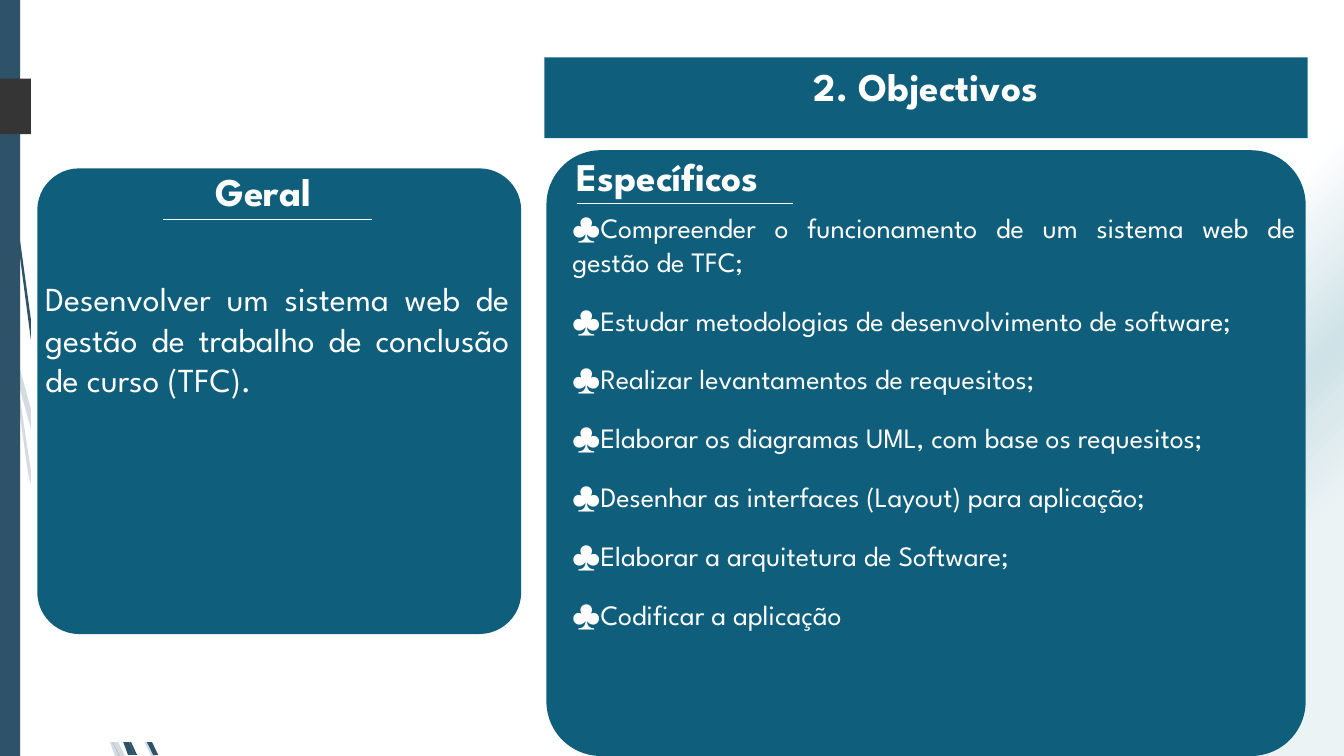
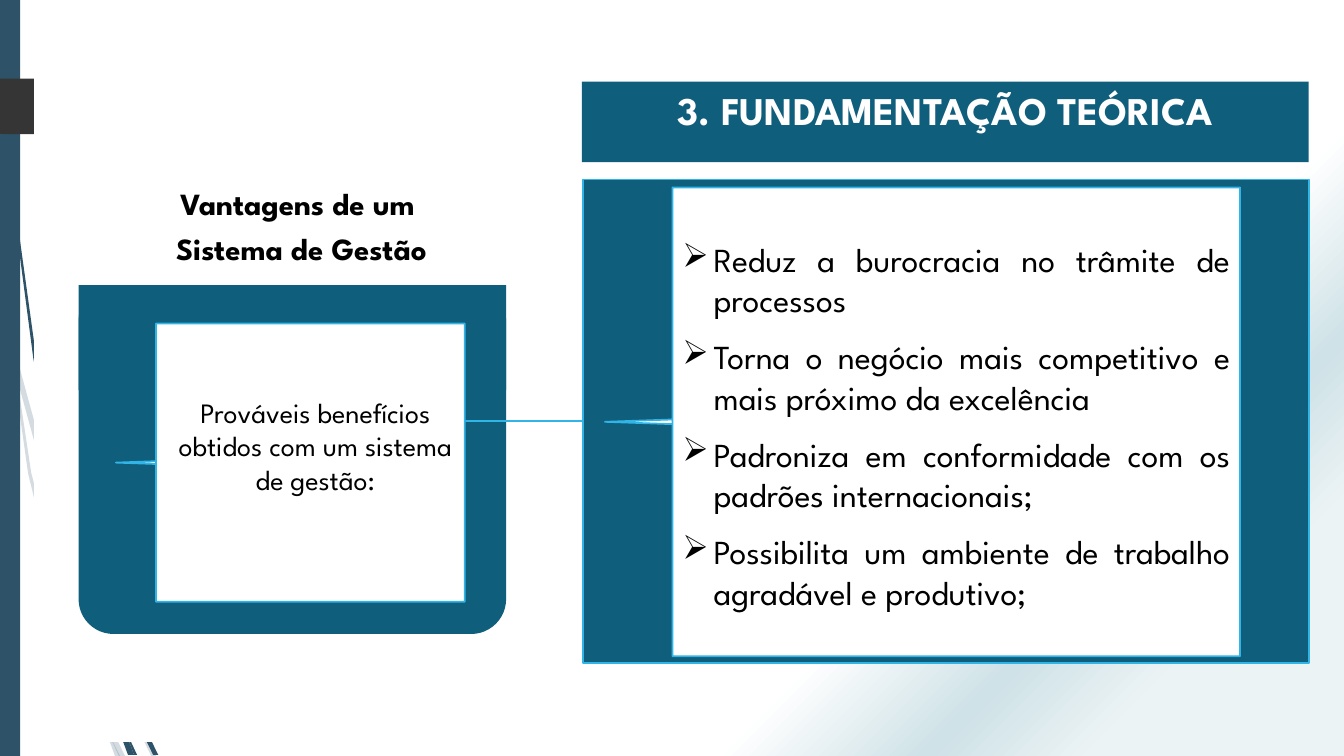
import pptx
import pptx.dml.color
import pptx.enum.shapes
import pptx.enum.text
import pptx.oxml
import pptx.oxml.ns
import pptx.util

PX = 9144  # EMU in one px; 100 px make an inch
FONT = "League Spartan"
COLORS = {
    "teal": "0F5E7C", "slate": "2E5369", "tab": "353535", "sky": "31B4E6",
    "white": "FFFFFF", "black": "000000", "mist": "ECF3F5", "haze": "CFE2E7",
}
BACKGROUND_STOPS = [(12, "mist"), (20, "haze"), (30, "white")]
PALE_STREAKS = [
    [(57, 522), (84, 599), (85, 586), (62, 520), (14, 345), (17, 376)],
    [(92, 607), (88, 596), (88, 610), (123, 694), (150, 750), (155, 750),
     (127, 692)],
    [(119, 750), (124, 750), (105, 711)],
    [(93, 683), (70, 619), (31, 469), (17, 376), (11, 350), (28, 470),
     (65, 621), (92, 693), (101, 714), (99, 707)],
    [(101, 714), (114, 750), (119, 750)],
    [(96, 692), (93, 683), (99, 707), (101, 714), (118, 750), (119, 750),
     (105, 711)],
]
DARK_STREAKS = [
    [(7, 110), (17, 233), (33, 355), (56, 477), (57, 481), (55, 457),
     (55, 453), (36, 355), (19, 232), (8, 109), (4, 0), (3, 0), (4, 48)],
    [(113, 649), (110, 641), (111, 656), (132, 708), (152, 749), (157, 749),
     (136, 706)],
    [(133, 749), (136, 749), (122, 719)],
    [(117, 722), (127, 749), (131, 749)],
    [(116, 706), (110, 691), (116, 717), (117, 722), (130, 749), (133, 749),
     (122, 719)],
]
TAB = [(0, 78), (146, 78), (148, 79), (173, 104), (173, 108), (148, 133),
       (146, 134), (0, 133)]
GOALS = [
    "Compreender o funcionamento de um sistema web de gestão de TFC; ",
    "Estudar metodologias de desenvolvimento de software;",
    "Realizar levantamentos de requesitos;",
    "Elaborar os diagramas UML, com base os requesitos;",
    "Desenhar as interfaces (Layout) para aplicação;",
    "Elaborar a arquitetura de Software;",
    "Codificar a aplicação",
]
BENEFITS = [
    "Reduz a burocracia no trâmite de processos",
    "Torna o negócio mais competitivo e mais próximo da excelência ",
    "Padroniza em conformidade com os padrões internacionais; ",
    "Possibilita um ambiente de trabalho agradável e produtivo; ",
]

KIND = pptx.enum.shapes.MSO_SHAPE
ALIGN = pptx.enum.text.PP_ALIGN
ANCHOR = pptx.enum.text.MSO_ANCHOR


def emu(*lengths):
    return [length * PX for length in lengths]


def rgb(name):
    return pptx.dml.color.RGBColor.from_string(COLORS[name])


def add_xml(parent, tag, **attributes):
    element = parent.makeelement(pptx.oxml.ns.qn(tag), attributes)
    parent.append(element)
    return element


def paint(shape, fill, line=None, alpha=None):
    shape.shadow.inherit = False
    shape.fill.solid()
    shape.fill.fore_color.rgb = rgb(fill)
    if alpha:
        color = shape.element.spPr.find(".//" + pptx.oxml.ns.qn("a:srgbClr"))
        add_xml(color, "a:alpha", val=str(alpha * 1000))
    if line:
        shape.line.color.rgb = rgb(line)
        shape.line.width = pptx.util.Pt(1.25)
    else:
        shape.line.fill.background()


def add_box(page, box, kind=KIND.RECTANGLE, fill="teal", line=None, adjust=()):
    shape = page.shapes.add_shape(kind, *emu(*box))
    for index, value in enumerate(adjust):
        shape.adjustments[index] = value
    paint(shape, fill, line)
    return shape


def add_outline(page, points, fill, alpha=None):
    builder = page.shapes.build_freeform(*points[0], scale=PX)
    builder.add_line_segments(points[1:], close=True)
    paint(builder.convert_to_shape(), fill, alpha=alpha)


def write(shape, paragraphs, size=20, color="white", bold=False,
          align=ALIGN.LEFT, anchor=ANCHOR.TOP, insets=(10, 5, 10, 5),
          after=0, spacing=None, margin=0, bullet=None):
    """Fill a shape with paragraphs; insets run left, top, right, bottom."""
    frame = shape.text_frame
    frame.word_wrap = True
    frame.vertical_anchor = anchor
    (frame.margin_left, frame.margin_top,
     frame.margin_right, frame.margin_bottom) = emu(*insets)
    for index, text in enumerate(paragraphs):
        para = frame.add_paragraph() if index else frame.paragraphs[0]
        para.alignment = align
        para.space_after = pptx.util.Pt(after)
        if spacing:
            para.line_spacing = spacing
        span = para.add_run()
        span.text = text
        span.font.name = FONT
        span.font.size = pptx.util.Pt(size)
        span.font.bold = bold
        span.font.color.rgb = rgb(color)
        properties = para._p.get_or_add_pPr()
        if margin:
            properties.set("marL", str(margin * PX))
        if bullet:
            properties.set("indent", str(-margin * PX))
            add_xml(properties, "a:buChar", char=bullet)


def add_text(page, box, paragraphs, **style):
    write(page.shapes.add_textbox(*emu(*box)), paragraphs, **style)


def add_heading(page, box, text, rule):
    """Bold heading with a thin rule given as (start x, end x, y)."""
    add_text(page, box, [text], size=28, bold=True, anchor=ANCHOR.MIDDLE,
             insets=(0, 0, 0, 0), spacing=0.85)
    start, end, y = rule
    line = page.shapes.add_connector(
        pptx.enum.shapes.MSO_CONNECTOR.STRAIGHT, *emu(start, y, end, y))
    line.line.color.rgb = rgb("white")
    line.line.width = pptx.util.Pt(1)
    add_xml(line.element.spPr, "a:effectLst")


def set_background(page):
    fill = page.background.fill
    fill.gradient()
    fill.gradient_angle = 135
    stops = page.element.find(".//" + pptx.oxml.ns.qn("a:gsLst"))
    for stop in list(stops):
        stops.remove(stop)
    for position, name in BACKGROUND_STOPS:
        stop = add_xml(stops, "a:gs", pos=str(position * 1000))
        add_xml(stop, "a:srgbClr", val=COLORS[name])


def add_page(deck):
    """Add a blank page with the backdrop, the streaks and the side spine."""
    page = deck.slides.add_slide(deck.slide_layouts[6])
    set_background(page)
    for streak in PALE_STREAKS:
        add_outline(page, streak, "slate", alpha=20)
    for streak in DARK_STREAKS:
        add_outline(page, streak, "slate")
    add_box(page, (0, 0, 20, 750), fill="slate")
    add_outline(page, TAB, "tab")
    return page


def add_panel(page, left, width):
    add_box(page, (left, 0, width, 735), fill="white", line="white")


def add_title(page, box, text):
    write(add_box(page, box), [text], size=28, bold=True, align=ALIGN.CENTER)


def add_general_goal(page, box):
    left, top, width, height = box
    add_box(page, box, KIND.ROUNDED_RECTANGLE, adjust=[0.09])
    add_heading(page, (left + 177, top + 3, 173, 46), "Geral",
                (left + 125, left + 332, top + 51))
    add_text(page, (left - 2, top + 104, width, 172),
             ["Desenvolver um sistema web de gestão de trabalho de "
              "conclusão de curso (TFC)."], size=24, align=ALIGN.JUSTIFY)


def add_specific_goals(page, box):
    left, top, width, height = box
    add_box(page, box, KIND.ROUNDED_RECTANGLE, adjust=[0.09])
    add_heading(page, (left + 30, top - 2, 395, 63), "Específicos",
                (left + 30, left + 245, top + 53))
    add_text(page, (left + 16, top + 55, width - 16, height - 55),
             ["♣" + goal for goal in GOALS], align=ALIGN.JUSTIFY, after=18)


def add_callout(page, box, fill, adjust):
    return add_box(page, box, KIND.LEFT_ARROW_CALLOUT, fill, "sky", adjust)


def add_white_callout(page, box):
    return add_callout(page, box, "white", [0, 0.005, 0.144, 0.909])


def add_benefits_frame(page, box):
    left, top, width, height = box
    add_box(page, box, KIND.ROUNDED_RECTANGLE, adjust=[0.1])
    add_box(page, (left, top, width, 104))
    add_text(page, (left - 10, top - 105, width + 38, 93),
             ["Vantagens de um ", "Sistema de Gestão"], size=22,
             color="black", bold=True, align=ALIGN.CENTER, after=6)


def add_benefits_intro(page, box):
    write(add_white_callout(page, box),
          ["Prováveis benefícios obtidos com um sistema de gestão:"],
          color="black", align=ALIGN.CENTER, anchor=ANCHOR.MIDDLE,
          insets=(10, 5, 10, 39), margin=10)


def add_benefits_list(page, box):
    write(add_white_callout(page, box), BENEFITS, size=24, color="black",
          align=ALIGN.JUSTIFY, insets=(10, 51, 10, 5), after=12, margin=31,
          bullet="➢")


def build_objectives(deck):
    page = add_page(deck)
    add_panel(page, 32, 489)
    add_specific_goals(page, (542, 149, 753, 601))
    add_title(page, (540, 57, 757, 80), "2. Objectivos")
    add_general_goal(page, (37, 167, 480, 462))


def build_theory(deck):
    page = add_page(deck)
    add_panel(page, 35, 521)
    add_title(page, (577, 81, 721, 80), "3. FUNDAMENTAÇÃO TEÓRICA")
    add_benefits_frame(page, (78, 283, 424, 346))
    add_callout(page, (462, 178, 836, 480), "teal", [0, 0, 0.114, 0.861])
    add_benefits_intro(page, (115, 321, 346, 276))
    add_benefits_list(page, (600, 186, 630, 465))


def main():
    deck = pptx.Presentation()
    deck.slide_width, deck.slide_height = emu(1333, 750)
    build_objectives(deck)
    build_theory(deck)
    deck.save("out.pptx")


if __name__ == "__main__":
    main()
